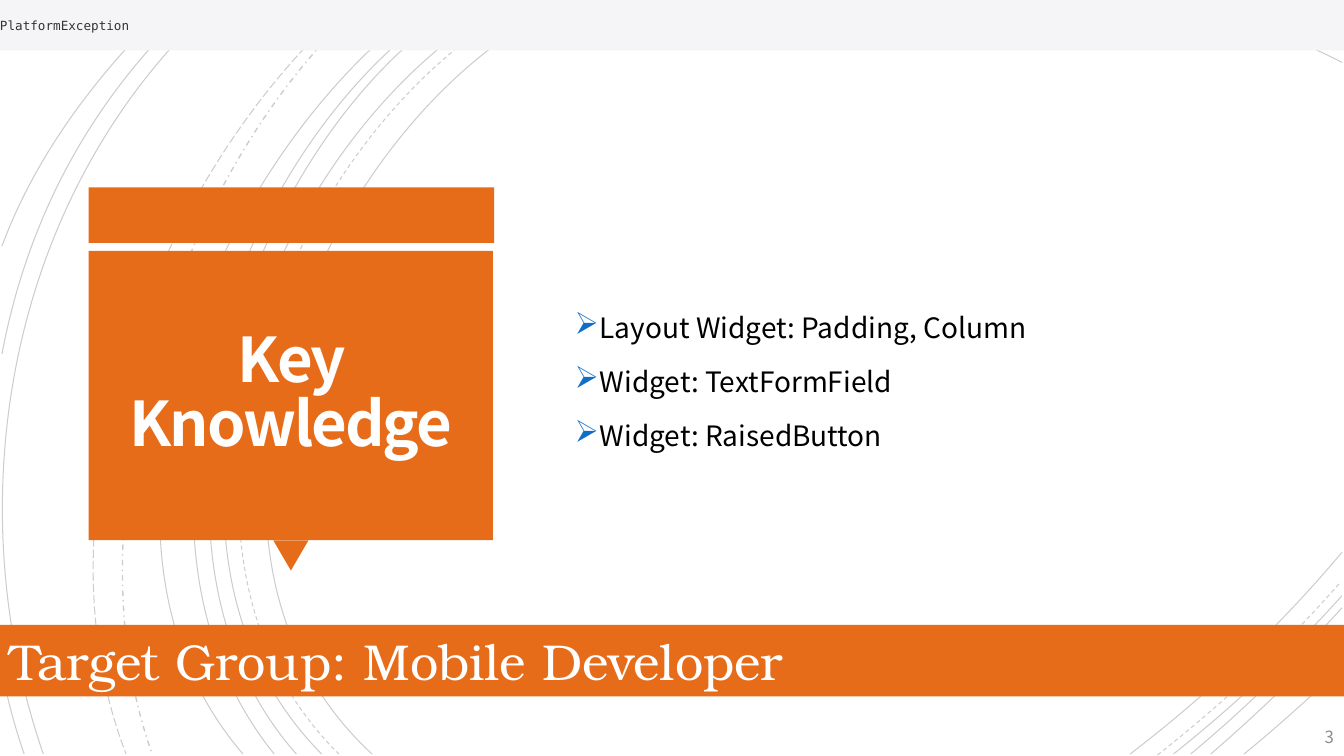
from lxml import etree
from pptx import Presentation
from pptx.dml.color import RGBColor
from pptx.enum.dml import MSO_LINE as Dash
from pptx.enum.shapes import MSO_SHAPE as Preset
from pptx.enum.text import MSO_ANCHOR as Anchor, PP_ALIGN as Align
from pptx.oxml.ns import qn
from pptx.util import Cm, Pt

COLORS = {
    "accent": "E76C19", "header": "F5F5F7", "curve": "000000", "body": "000000",
    "title": "FFFEFF", "banner": "FFFFFF", "code": "333333", "number": "8C8C8C",
    "bullet": "0F6FC6",
}
SANS, SERIF, MONO = "Noto Sans CJK JP", "TeX Gyre Bonum", "DejaVu Sans Mono"
MODULE = 2.54  # cm per layout unit

# Each curve: start, two control points, end
CURVES = {
    Dash.SOLID: [
        (5.65, 0, 3.15, 1.15, 1.43, 5.4, 3.69, 7.48),
        (13.31, 0.62, 12.78, 0.34, 12.18, 0.16, 11.62, 0.01),
        (11.21, 7.48, 11.97, 6.9, 12.69, 6.22, 13.31, 5.48),
        (5.06, 0, 2.7, 1.27, 1.1, 5.37, 3.19, 7.48),
        (13.31, 0.29, 13.07, 0.19, 12.83, 0.09, 12.58, 0.01),
        (11.64, 7.48, 12.23, 7.01, 12.8, 6.48, 13.31, 5.91),
        (4.64, 0, 2.44, 1.33, 1.1, 5.41, 2.94, 7.48),
        (11.81, 7.48, 12.34, 7.04, 12.84, 6.55, 13.31, 6.03),
        (4.51, 0, 2.31, 1.38, 0.97, 5.33, 2.72, 7.48),
        (12.01, 7.48, 12.46, 7.09, 12.9, 6.67, 13.31, 6.23),
        (4.27, 0, 2.17, 1.47, 0.53, 5.29, 2.41, 7.48),
        (12.34, 7.48, 12.67, 7.21, 12.99, 6.92, 13.31, 6.62),
        (2.17, 0, 0.11, 1.85, -0.46, 4.9, 0.43, 7.48),
        (1.95, 0.01, 0.92, 0.96, 0.28, 2.14, 0.02, 3.51),
        (0.01, 6.58, 0.06, 6.89, 0.14, 7.19, 0.24, 7.48),
        (1.72, 0, 1, 0.69, 0.37, 1.5, 0.02, 2.44),
    ],
    Dash.DASH: [
        (5.25, 0, 2.85, 1.25, 1.23, 5.37, 3.36, 7.48),
        (13.31, 0.41, 12.97, 0.25, 12.6, 0.12, 12.25, 0.01),
        (11.48, 7.49, 12.13, 6.98, 12.75, 6.4, 13.3, 5.77),
    ],
    Dash.DASH_DOT: [(3.63, 0, 1.76, 1.66, 0.65, 5.09, 1.51, 7.48)],
    Dash.LONG_DASH: [(3.51, 0, 1.57, 1.69, 0.29, 4.99, 1.25, 7.48)],
}
KNOWLEDGE = ["Layout Widget: Padding, Column", "Widget: TextFormField",
             "Widget: RaisedButton"]


def units(*values):
    """Convert layout units to lengths."""
    return [Cm(MODULE * value) for value in values]


def rgb(key):
    return RGBColor.from_string(COLORS[key])


def apply(target, formats):
    for attribute, value in formats.items():
        setattr(target, attribute, value)


def add_child(parent, tag, **attributes):
    return etree.SubElement(parent, qn(tag), attributes)


class SlideBuilder:
    def __init__(self, slide):
        self.shapes = slide.shapes

    def curve(self, points, dash):
        lengths = units(*points)
        start, *others = zip(lengths[::2], lengths[1::2])
        builder = self.shapes.build_freeform(*start)
        builder.add_line_segments(others, close=False)
        arc = builder.convert_to_shape()
        arc.shadow.inherit = False
        arc.fill.background()
        arc.line.color.rgb = rgb("curve")
        apply(arc.line, {"width": Pt(1 if dash == Dash.DASH_DOT else 0.75),
                         "dash_style": dash})
        stroke = arc._element.find(".//" + qn("a:ln")).find(".//" + qn("a:srgbClr"))
        add_child(stroke, "a:alpha", val="20000")
        # Turn the three segments into one Bézier segment
        outline = arc._element.find(".//" + qn("a:path"))
        bezier = add_child(outline, "a:cubicBezTo")
        for segment in outline.findall(qn("a:lnTo")):
            bezier.append(segment[0])
            outline.remove(segment)

    def block(self, box, color, preset=Preset.RECTANGLE, rotation=0):
        panel = self.shapes.add_shape(preset, *units(*box))
        panel.shadow.inherit = False
        panel.fill.solid()
        panel.fill.fore_color.rgb = rgb(color)
        panel.line.fill.background()
        panel.rotation = rotation
        return panel

    def text_box(self, box):
        return self.shapes.add_textbox(*units(*box))

    def put_text(self, holder, lines, color, font, anchor=Anchor.MIDDLE,
                 inset=None, bullet=None, spacing=None, **paragraph_formats):
        frame = holder.text_frame
        apply(frame, {"word_wrap": True, "vertical_anchor": anchor})
        if inset is not None:
            sides = ("left", "top", "right", "bottom")
            apply(frame, {f"margin_{side}": Cm(inset) for side in sides})
        for index, line in enumerate(lines):
            paragraph = frame.add_paragraph() if index else frame.paragraphs[0]
            if bullet:
                self.bullet(paragraph, bullet)
            apply(paragraph, {"alignment": Align.LEFT, **paragraph_formats})
            if index and spacing:
                paragraph.space_before = spacing
            run = paragraph.add_run()
            run.text = line
            apply(run.font, font)
            run.font.color.rgb = rgb(color)
        return frame

    def bullet(self, paragraph, symbol):
        properties = paragraph._p.get_or_add_pPr()
        indent = Cm(0.25 * MODULE)
        for name, value in {"marL": indent, "indent": -indent}.items():
            properties.set(name, str(value))
        tint = add_child(properties, "a:buClr")
        add_child(tint, "a:srgbClr", val=COLORS["bullet"])
        add_child(properties, "a:buSzPct", val="110000")
        add_child(properties, "a:buChar", char=symbol)


def main():
    presentation = Presentation()
    width, height = units(13.33, 7.5)
    apply(presentation, {"slide_width": width, "slide_height": height})
    page = SlideBuilder(presentation.slides.add_slide(presentation.slide_layouts[6]))

    for dash, arcs in CURVES.items():
        for points in arcs:
            page.curve(points, dash)

    page.block((0.88, 1.86, 4.02, 0.55), "accent")
    page.block((2.71, 5.36, 0.35, 0.3), "accent", Preset.ISOSCELES_TRIANGLE, 180)
    page.block((0.88, 2.49, 4.01, 2.87), "accent")

    title = page.put_text(
        page.text_box((0.97, 2.57, 3.83, 2.69)), ["Key Knowledge"], "title",
        {"name": SANS, "size": Pt(44), "bold": True}, inset=0.64,
        alignment=Align.CENTER, line_spacing=Pt(45.5))
    title.paragraphs[0].runs[0]._r.get_or_add_rPr().set("spc", "-150")

    page.put_text(page.text_box((5.6, 0.88, 7.74, 5.74)), KNOWLEDGE, "body",
                  {"name": SANS, "size": Pt(20)}, bullet="➢", spacing=Pt(10),
                  line_spacing=Pt(28.5))
    page.put_text(page.text_box((12.33, 7.13, 1, 0.35)), ["3"], "number",
                  {"name": SANS, "size": Pt(12)}, alignment=Align.RIGHT)
    page.put_text(page.block((0, 6.2, 13.33, 0.71), "accent"),
                  ["Target Group: Mobile Developer"], "banner",
                  {"name": SERIF, "size": Pt(36)}, anchor=Anchor.TOP)
    page.put_text(page.block((0, 0, 13.33, 0.5), "header"), ["PlatformException"],
                  "code", {"name": MONO, "size": Pt(9)}, inset=0)

    presentation.save("out.pptx")


if __name__ == "__main__":
    main()
